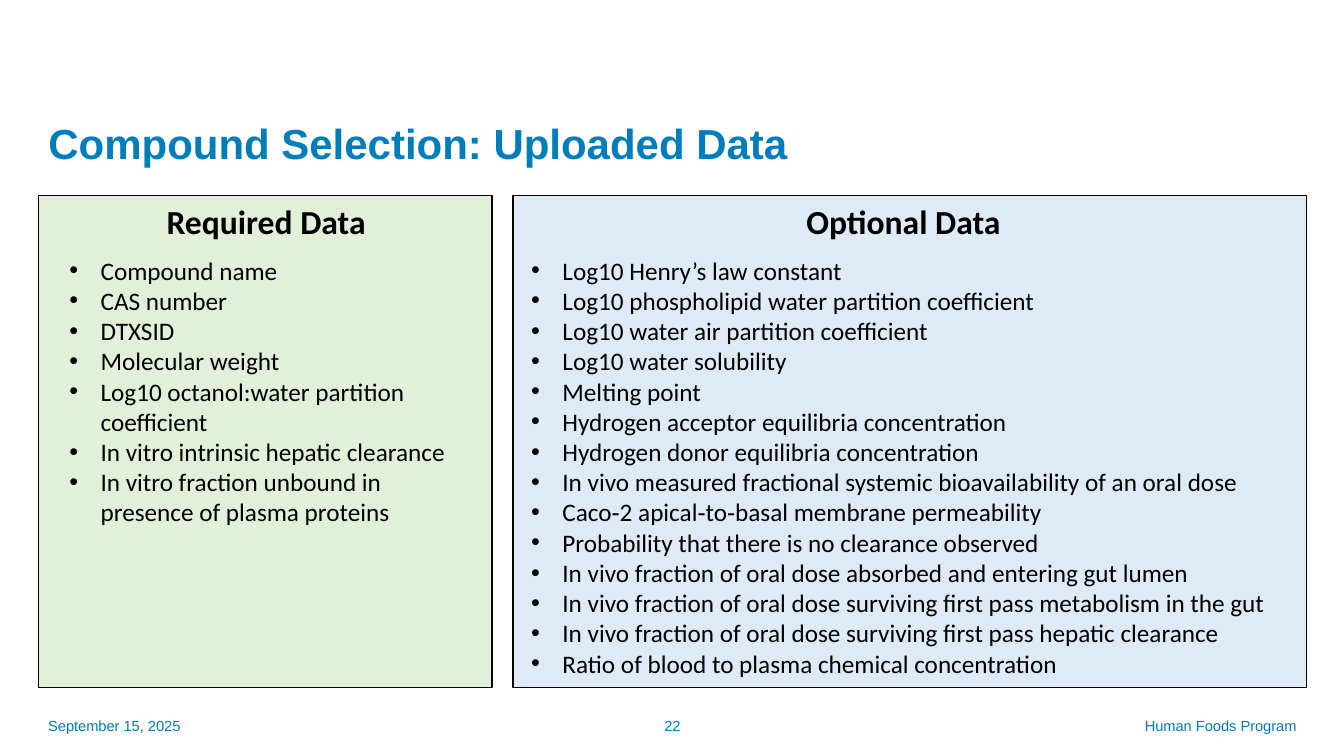
from dataclasses import dataclass

from lxml import etree
from pptx import Presentation
from pptx.dml.color import RGBColor
from pptx.enum.shapes import MSO_SHAPE
from pptx.enum.text import MSO_ANCHOR, PP_ALIGN
from pptx.oxml.ns import qn
from pptx.util import Inches, Pt

RECT = MSO_SHAPE.RECTANGLE
MIDDLE = MSO_ANCHOR.MIDDLE
LEFT, CENTER, RIGHT = PP_ALIGN.LEFT, PP_ALIGN.CENTER, PP_ALIGN.RIGHT


@dataclass
class Theme:
    blue = RGBColor(0x00, 0x7D, 0xBB)
    black = RGBColor(0, 0, 0)
    green_fill = RGBColor(0xE2, 0xF0, 0xD9)
    blue_fill = RGBColor(0xDE, 0xEB, 0xF7)
    brand_font = "Arial"
    body_font = "Calibri"
    title = Pt(30)
    head = Pt(24)
    body = Pt(18)
    foot = Pt(10.5)


def style(para, name, size, color, bold=False):
    for run in para.runs:
        font = run.font
        font.name, font.size, font.bold = name, size, bold
        font.color.rgb = color


def add_bullet(para):
    props = para._p.get_or_add_pPr()
    props.set("marL", str(Inches(0.31)))
    props.set("indent", str(-Inches(0.31)))
    etree.SubElement(props, qn("a:buFont"), typeface="Arial")
    etree.SubElement(props, qn("a:buChar"), char="•")


theme = Theme()
deck = Presentation()
deck.slide_width, deck.slide_height = Inches(13.33), Inches(7.5)
slide = deck.slides.add_slide(deck.slide_layouts[5])
shapes = slide.shapes

title = shapes.title
title.left, title.top = Inches(0.38), Inches(1.15)
title.width, title.height = Inches(11.5), Inches(0.6)
title.text_frame.text = "Compound Selection: Uploaded Data"
title.text_frame.vertical_anchor = MIDDLE
para = title.text_frame.paragraphs[0]
para.alignment = LEFT
para.line_spacing = 0.9
style(para, theme.brand_font, theme.title, theme.blue, True)

required = [
    "Compound name",
    "CAS number",
    "DTXSID",
    "Molecular weight",
    "Log10 octanol:water partition coefficient",
    "In vitro intrinsic hepatic clearance",
    "In vitro fraction unbound in presence of plasma proteins",
]
optional = [
    "Log10 Henry’s law constant",
    "Log10 phospholipid water partition coefficient",
    "Log10 water air partition coefficient",
    "Log10 water solubility",
    "Melting point",
    "Hydrogen acceptor equilibria concentration",
    "Hydrogen donor equilibria concentration",
    "In vivo measured fractional systemic bioavailability of an oral dose",
    "Caco‐2 apical‐to‐basal membrane permeability",
    "Probability that there is no clearance observed",
    "In vivo fraction of oral dose absorbed and entering gut lumen",
    "In vivo fraction of oral dose surviving first pass metabolism in the gut",
    "In vivo fraction of oral dose surviving first pass hepatic clearance",
    "Ratio of blood to plasma chemical concentration",
]

# Heading, items, fill, panel left and width, text left and width
panels = [
    ("Required Data", required, theme.green_fill, 0.38, 4.5, 0.59, 4.1),
    ("Optional Data", optional, theme.blue_fill, 5.09, 7.87, 5.17, 7.58),
]
top, height = Inches(1.94), Inches(4.88)
for head, items, fill, left, width, text_left, text_width in panels:
    panel = shapes.add_shape(RECT, Inches(left), top, Inches(width), height)
    panel.shadow.inherit = False
    panel.fill.solid()
    panel.fill.fore_color.rgb = fill
    panel.line.color.rgb = theme.black
    panel.line.width = Pt(1)

    box = shapes.add_textbox(Inches(text_left), top, Inches(text_width), height)
    frame = box.text_frame
    frame.word_wrap = True
    frame.text = "\n".join([head, *items])
    first, *rest = frame.paragraphs
    first.alignment = CENTER
    first.space_after = Pt(10)
    style(first, theme.body_font, theme.head, theme.black, True)
    for para in rest:
        add_bullet(para)
        style(para, theme.body_font, theme.body, theme.black)

footer = [
    ("September 15, 2025", 0.38, 3, LEFT),
    ("22", 5.17, 3, CENTER),
    ("Human Foods Program", 8.46, 4.5, RIGHT),
]
for text, left, width, align in footer:
    box = shapes.add_textbox(Inches(left), Inches(7), Inches(width), Inches(0.4))
    frame = box.text_frame
    frame.word_wrap = True
    frame.vertical_anchor = MIDDLE
    frame.text = text
    para = frame.paragraphs[0]
    para.alignment = align
    style(para, theme.brand_font, theme.foot, theme.blue)

deck.save("out.pptx")
